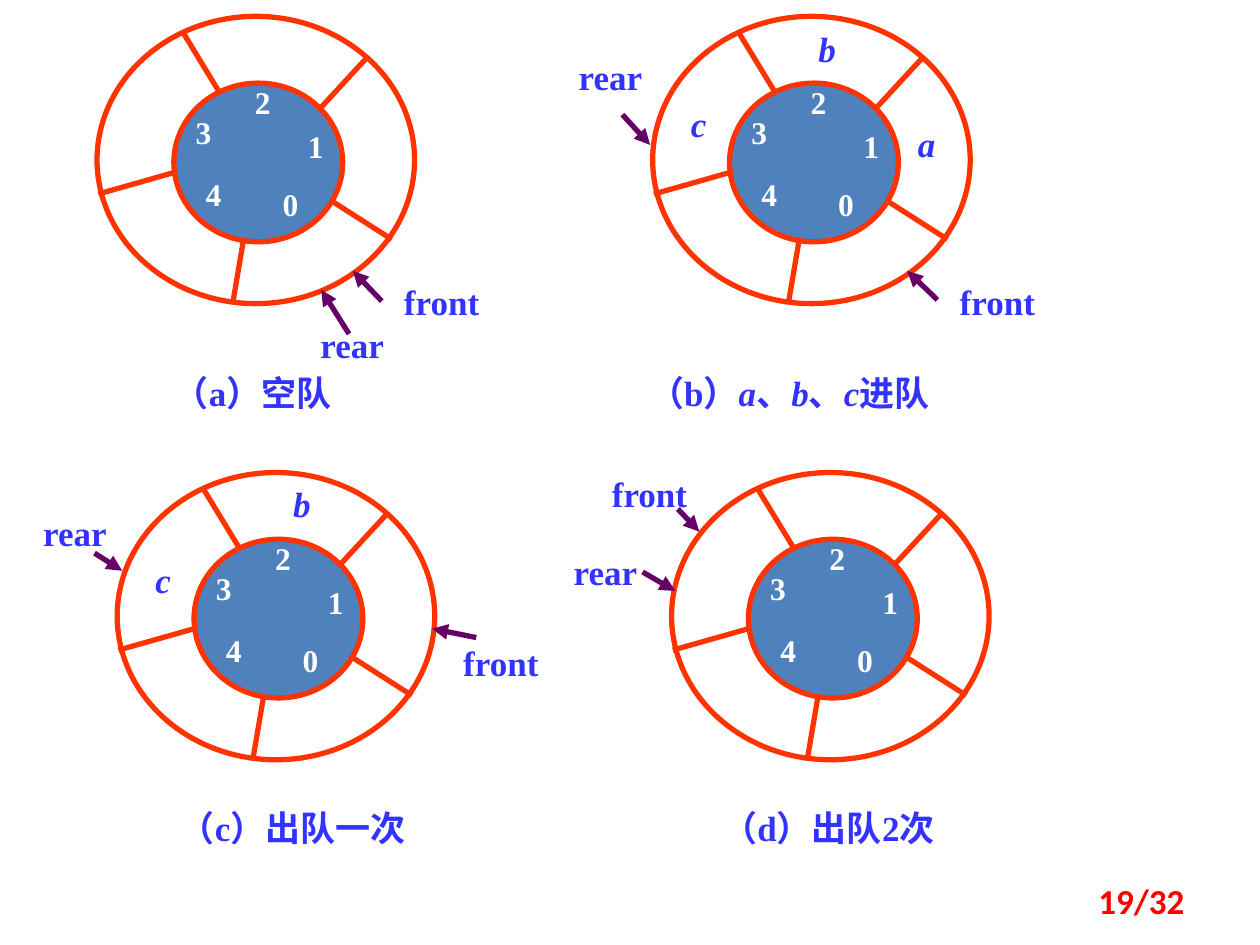
from lxml import etree
from pptx import Presentation
from pptx import util as u
from pptx.dml.color import RGBColor
from pptx.enum import shapes, text
from pptx.oxml import ns

PX = u.Inches(1) // 100
SERIF = "Times New Roman"
ORANGE = RGBColor(0xFF, 0x33, 0x00)
STEEL = RGBColor(0x4F, 0x81, 0xBD)
PURPLE = RGBColor(0x66, 0x00, 0x66)
BLUE = RGBColor(0x33, 0x33, 0xFF)
WHITE = RGBColor(0xFF, 0xFF, 0xFF)
RED = RGBColor(0xFF, 0x00, 0x00)

SPOKES = [
    ((187, 147), (234, 177)),
    ((178, 72), (214, 33)),
    ((69, 14), (97, 60)),
    ((116, 179), (108, 226)),
    ((1, 141), (61, 124)),
]
SLOTS = [(138, 134), (158, 88), (116, 53), (69, 77), (77, 126)]

QUEUES = [
    dict(
        origin=(77, 13),
        pointers=[("front", (234, 210), (226, 226), (203, 202)),
                  ("rear", (163, 244), (200, 252), (178, 217))],
        values=[],
        caption=[("（a）空队", False)],
        caption_box=(29, 277, 189, 44),
    ),
    dict(
        origin=(518, 13),
        pointers=[("front", (234, 210), (226, 225), (202, 202)),
                  ("rear", (-73, 31), (-24, 78), (-2, 102))],
        values=[("a", (202, 84)), ("b", (123, 9)), ("c", (21, 68))],
        caption=[("（b）", False), ("a", True), ("、", False), ("b", True),
                 ("、", False), ("c", True), ("进队", False)],
        caption_box=(-65, 277, 347, 44),
    ),
    dict(
        origin=(93, 375),
        pointers=[("front", (265, 134), (285, 131), (250, 124)),
                  ("rear", (-73, 31), (-18, 64), (4, 78))],
        values=[("b", (131, 8)), ("c", (21, 68))],
        caption=[("（c）出队一次", False)],
        caption_box=(-34, 260, 347, 44),
    ),
    dict(
        origin=(533, 375),
        pointers=[("front", (-57, 0), (5, 29), (22, 47)),
                  ("rear", (-92, 62), (-23, 79), (3, 94))],
        values=[],
        caption=[("（d）出队2次", False)],
        caption_box=(-49, 260, 347, 44),
    ),
]


def place(origin, *offsets):
    return [(origin[i % 2] + offset) * PX for i, offset in enumerate(offsets)]


def add_ellipse(parts, origin, left, top, width, height, fill=None):
    ellipse = parts.add_shape(shapes.MSO_SHAPE.OVAL, *place(origin, left, top),
                              width * PX, height * PX)
    ellipse.shadow.inherit = False
    if fill is None:
        ellipse.fill.background()
    else:
        ellipse.fill.solid()
        ellipse.fill.fore_color.rgb = fill
    ellipse.line.color.rgb = ORANGE
    ellipse.line.width = u.Pt(3)


def add_line(parts, origin, start, end, color, arrow=False):
    line = parts.add_connector(shapes.MSO_CONNECTOR.STRAIGHT,
                               *place(origin, *start, *end))
    line.line.color.rgb = color
    line.line.width = u.Pt(3)
    if arrow:
        etree.SubElement(line.line._get_or_add_ln(), ns.qn("a:tailEnd"), type="triangle")
    etree.SubElement(line._element.spPr, ns.qn("a:effectLst"))


def add_text(parts, origin, box, spans, color, size=20, font=SERIF,
             align=text.PP_ALIGN.CENTER, inset=0):
    left, top, width, height = box
    label = parts.add_textbox(*place(origin, left, top), width * PX, height * PX)
    frame = label.text_frame
    frame.word_wrap = True
    frame.margin_left = frame.margin_right = inset * PX
    frame.margin_top = frame.margin_bottom = inset * PX // 2
    para = frame.paragraphs[0]
    para.alignment = align
    para.font.name = font
    para.font.size = u.Pt(size)
    para.font.bold = True
    para.font.color.rgb = color
    for words, italic in spans:
        span = para.add_run()
        span.text = words
        if italic:
            span.font.italic = True
    return label


def draw_ring(parts, origin):
    add_ellipse(parts, origin, 61, 53, 134, 126, STEEL)
    add_ellipse(parts, origin, 0, 0, 252, 228)
    for start, end in SPOKES:
        add_line(parts, origin, start, end, ORANGE)
    for number, slot in enumerate(SLOTS):
        add_text(parts, origin, (*slot, 31, 30), [(str(number), False)], WHITE, 18)


def draw_queue(page, origin, pointers, values, caption, caption_box):
    parts = page.shapes.add_group_shape().shapes
    draw_ring(parts, origin)
    for name, corner, start, tip in pointers:
        add_line(parts, origin, start, tip, PURPLE, arrow=True)
        add_text(parts, origin, (*corner, 79, 33), [(name, False)], BLUE)
    for value, corner in values:
        add_text(parts, origin, (*corner, 31, 33), [(value, True)], BLUE)
    add_text(parts, origin, caption_box, caption, BLUE, inset=10)


def draw_page_number(page, box):
    number = add_text(page.shapes, (0, 0), box, [("19/32", False)], RED, font="Calibri",
                      align=text.PP_ALIGN.RIGHT, inset=10)
    number.text_frame.vertical_anchor = text.MSO_ANCHOR.MIDDLE


def main():
    deck = Presentation()
    deck.slide_width = 1000 * PX
    deck.slide_height = 750 * PX
    page = deck.slides.add_slide(deck.slide_layouts[6])
    for queue in QUEUES:
        draw_queue(page, **queue)
    draw_page_number(page, (717, 695, 233, 40))
    deck.save("out.pptx")


if __name__ == "__main__":
    main()
